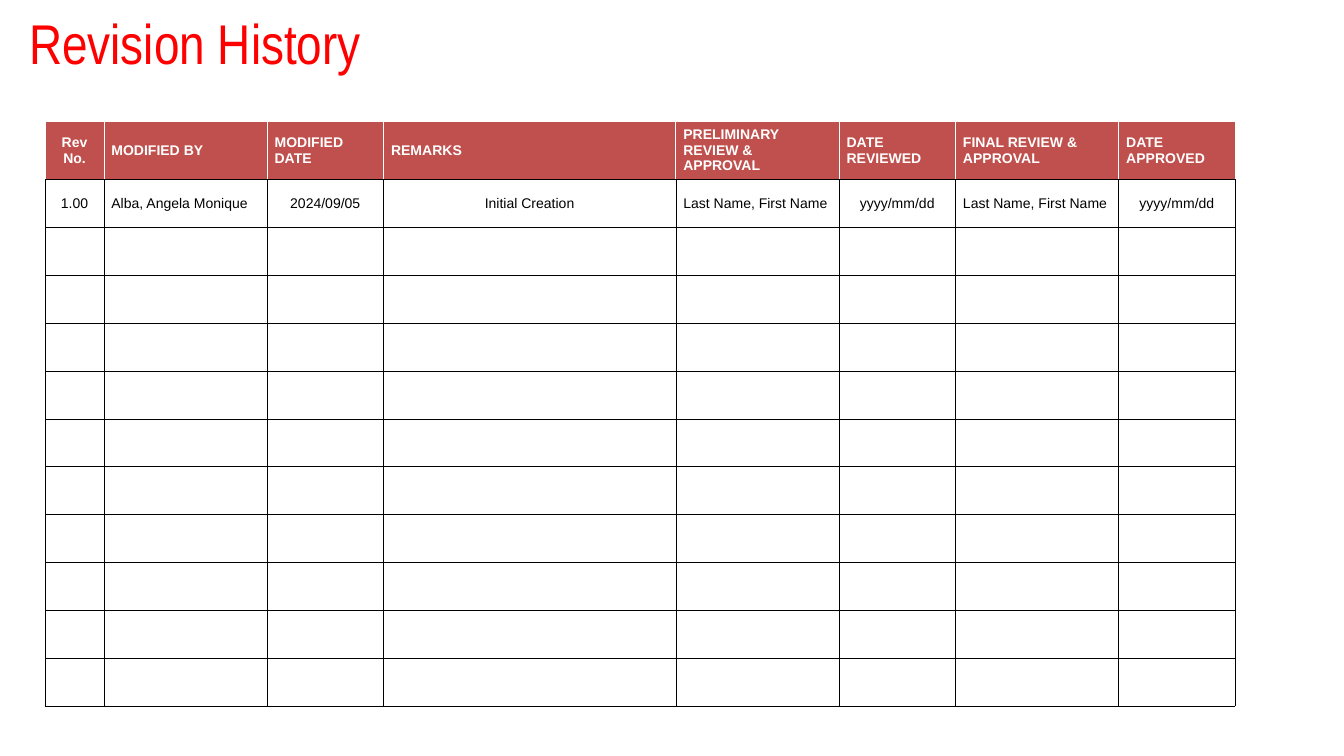
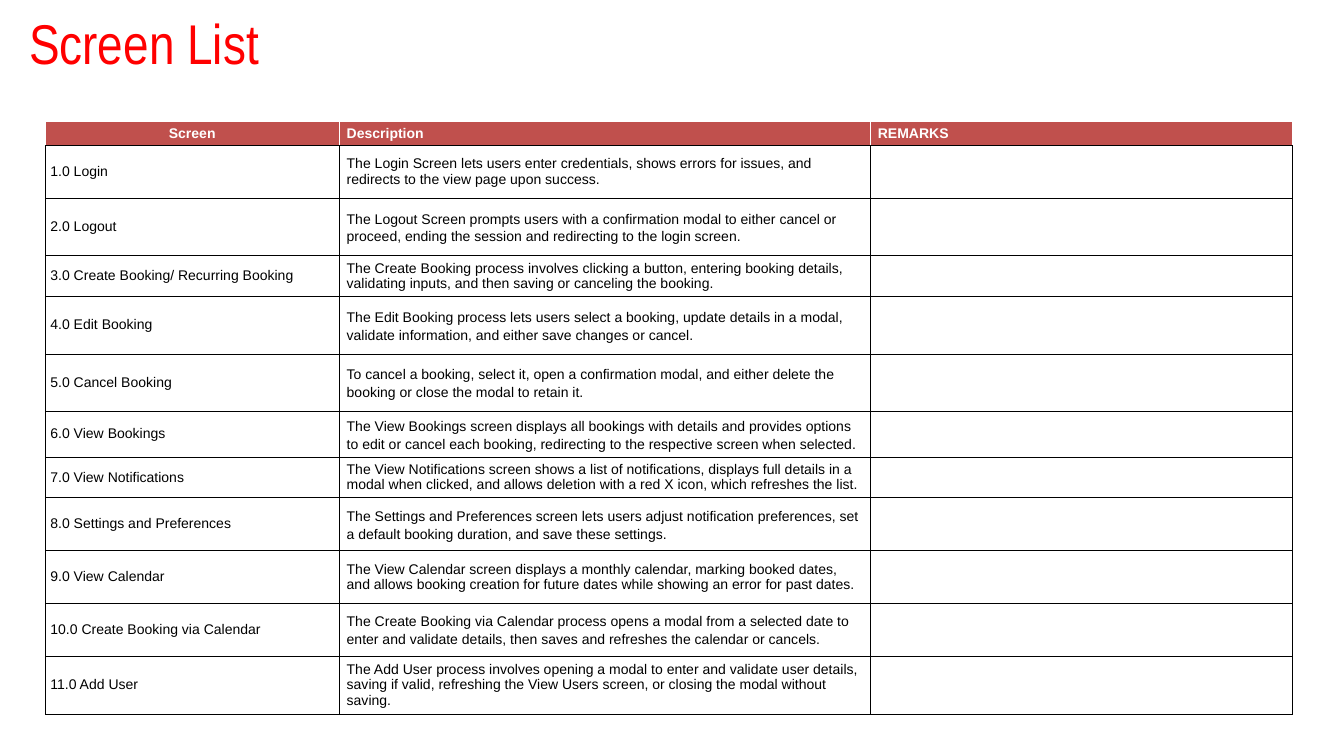
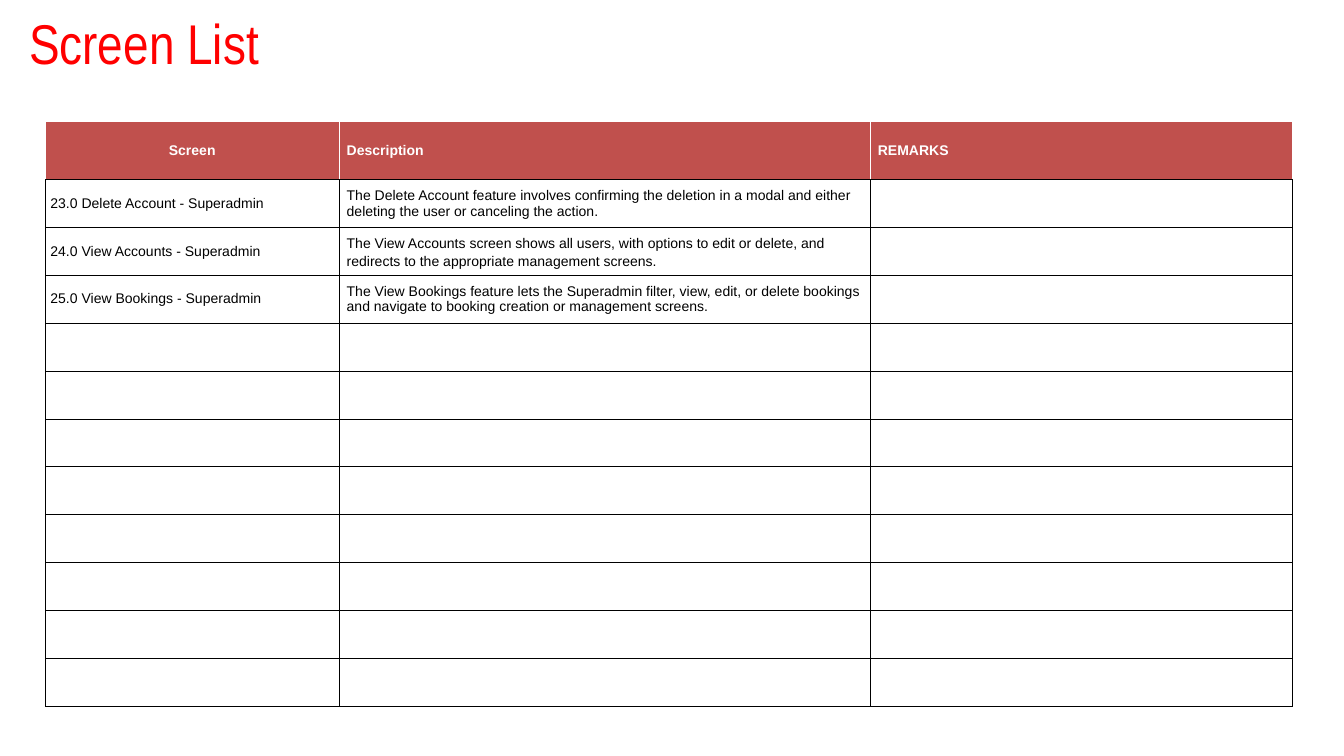
import dataclasses

import lxml.etree
import pptx
import pptx.dml.color
import pptx.enum.text
import pptx.oxml.ns
import pptx.util

PX = 9144  # EMU per px, 100 px to the inch


@dataclasses.dataclass(frozen=True)
class Theme:
    title_color: str = "FF0000"
    header_fill: str = "C0504D"
    header_text: str = "FFFFFF"
    header_rule: str = "FFFFFF"
    body_fill: str = "FFFFFF"
    body_text: str = "000000"
    body_rule: str = "000000"
    title_font: str = "Arial Narrow"
    table_font: str = "Arial"
    title_size: int = 80
    table_size: int = 20
    header_rule_width: float = 1
    body_rule_width: float = 0.75


THEME = Theme()
SLIDE_SIZE = (2667, 1500)
TITLE_BOX = (58, 22, 2425, 140)
TABLE_ORIGIN = (90, 241)
WIDE_INSET = (15, 7)
TIGHT_INSET = (10, 5)
EVEN_ROWS = [115] + [95] * 11
AIRY = dict(line_spacing=1.15, space_after=12)

REVISION_HEADERS = [
    "Rev No.", "MODIFIED BY", "MODIFIED DATE", "REMARKS",
    "PRELIMINARY REVIEW & APPROVAL", "DATE REVIEWED",
    "FINAL REVIEW & APPROVAL", "DATE APPROVED",
]
REVISIONS = [
    ("1.00", "Alba, Angela Monique", "2024/09/05", "Initial Creation",
     "Last Name, First Name", "yyyy/mm/dd", "Last Name, First Name", "yyyy/mm/dd"),
]

SCREEN_HEADERS = ["Screen", "Description", "REMARKS"]
USER_SCREENS = [
    ("1.0 Login",
     "The Login Screen lets users enter credentials, shows errors for issues, "
     "and redirects to the view page upon success."),
    ("2.0 Logout",
     "The Logout Screen prompts users with a confirmation modal to either cancel or "
     "proceed, ending the session and redirecting to the login screen."),
    ("3.0 Create Booking/ Recurring Booking",
     "The Create Booking process involves clicking a button, entering booking details, "
     "validating inputs, and then saving or canceling the booking."),
    ("4.0 Edit Booking",
     "The Edit Booking process lets users select a booking, update details in a modal, "
     "validate information, and either save changes or cancel."),
    ("5.0 Cancel Booking",
     "To cancel a booking, select it, open a confirmation modal, and either delete the "
     "booking or close the modal to retain it."),
    ("6.0 View Bookings",
     "The View Bookings screen displays all bookings with details and provides options "
     "to edit or cancel each booking, redirecting to the respective screen when selected."),
    ("7.0 View Notifications",
     "The View Notifications screen shows a list of notifications, displays full details "
     "in a modal when clicked, and allows deletion with a red X icon, which refreshes the list."),
    ("8.0 Settings and Preferences",
     "The Settings and Preferences screen lets users adjust notification preferences, set "
     "a default booking duration, and save these settings."),
    ("9.0 View Calendar",
     "The View Calendar screen displays a monthly calendar, marking booked dates, "
     "and allows booking creation for future dates while showing an error for past dates."),
    ("10.0 Create Booking via Calendar",
     "The Create Booking via Calendar process opens a modal from a selected date to "
     "enter and validate details, then saves and refreshes the calendar or cancels."),
    ("11.0 Add User",
     "The Add User process involves opening a modal to enter and validate user details, "
     "saving if valid, refreshing the View Users screen, or closing the modal without saving."),
]
SUPERADMIN_SCREENS = [
    ("23.0 Delete Account - Superadmin",
     "The Delete Account feature involves confirming the deletion in a modal and either "
     "deleting the user or canceling the action."),
    ("24.0 View Accounts - Superadmin",
     "The View Accounts screen shows all users, with options to edit or delete, and "
     "redirects to the appropriate management screens."),
    ("25.0 View Bookings - Superadmin",
     "The View Bookings feature lets the Superadmin filter, view, edit, or delete bookings "
     "and navigate to booking creation or management screens."),
]

# airy_rows: rows whose description has looser line spacing
REVISION_LAYOUT = dict(headers=REVISION_HEADERS, centered={0, 2, 3, 5, 7}, tight=set(),
                       columns=[116, 324, 231, 580, 324, 231, 324, 231])
SCREEN_LAYOUT = dict(headers=SCREEN_HEADERS, centered=set(), tight={0},
                     columns=[583, 1054, 838])
PAGES = [
    dict(REVISION_LAYOUT, title="Revision History", records=REVISIONS,
         rows=EVEN_ROWS, airy_rows=set()),
    dict(SCREEN_LAYOUT, title="Screen List", records=USER_SCREENS,
         rows=[44, 105, 114, 74, 114, 114, 79, 74, 105, 105, 105, 105],
         airy_rows={2, 4, 5, 6, 8, 10}),
    dict(SCREEN_LAYOUT, title="Screen List", records=SUPERADMIN_SCREENS,
         rows=EVEN_ROWS, airy_rows={2}),
]


def rgb(color):
    return pptx.dml.color.RGBColor.from_string(color)


def write(frame, text, *, font, size, color, bold=False, centered=False,
          line_spacing=None, space_after=None):
    paragraph = frame.paragraphs[0]
    align = pptx.enum.text.PP_ALIGN
    paragraph.alignment = align.CENTER if centered else align.LEFT
    if line_spacing:
        paragraph.line_spacing = line_spacing
    if space_after:
        paragraph.space_after = pptx.util.Pt(space_after)
    run = paragraph.add_run()
    run.text = text
    run.font.name = font
    run.font.size = pptx.util.Pt(size)
    run.font.bold = bold
    run.font.color.rgb = rgb(color)


def set_border(cell, side, color, width):
    """Draw one edge of a cell; side is L, R, T or B."""
    qn = pptx.oxml.ns.qn
    line = lxml.etree.SubElement(cell._tc.get_or_add_tcPr(), qn(f"a:ln{side}"),
                                 w=str(pptx.util.Pt(width)))
    fill = lxml.etree.SubElement(line, qn("a:solidFill"))
    lxml.etree.SubElement(fill, qn("a:srgbClr"), val=color)


def style_cell(cell, is_header, inset):
    for side in "LRTB":
        if is_header and side != "B":
            set_border(cell, side, THEME.header_rule, THEME.header_rule_width)
        else:
            set_border(cell, side, THEME.body_rule, THEME.body_rule_width)
    cell.fill.solid()
    cell.fill.fore_color.rgb = rgb(THEME.header_fill if is_header else THEME.body_fill)
    cell.vertical_anchor = pptx.enum.text.MSO_ANCHOR.MIDDLE
    cell.margin_left = cell.margin_right = inset[0] * PX
    cell.margin_top = cell.margin_bottom = inset[1] * PX


def add_title(slide, title):
    frame = slide.shapes.add_textbox(*(length * PX for length in TITLE_BOX)).text_frame
    frame.word_wrap = True
    frame.vertical_anchor = pptx.enum.text.MSO_ANCHOR.MIDDLE
    frame.margin_left = frame.margin_right = frame.margin_top = frame.margin_bottom = 0
    write(frame, title, font=THEME.title_font, size=THEME.title_size,
          color=THEME.title_color, line_spacing=0.9)


def add_register(slide, page):
    """Add the page's table: a header row, its records, then empty rows to fill in."""
    columns, rows = page["columns"], page["rows"]
    extent = (*TABLE_ORIGIN, sum(columns), sum(rows))
    table = slide.shapes.add_table(len(rows), len(columns),
                                   *(length * PX for length in extent)).table
    table.horz_banding = False
    for column, width in zip(table.columns, columns):
        column.width = width * PX
    for row, height in zip(table.rows, rows):
        row.height = height * PX

    lines = [page["headers"], *page["records"]]
    for r in range(len(rows)):
        is_header = r == 0
        texts = lines[r] if r < len(lines) else ()
        for c in range(len(columns)):
            cell = table.cell(r, c)
            tight = not is_header and c in page["tight"]
            style_cell(cell, is_header, TIGHT_INSET if tight else WIDE_INSET)
            if c < len(texts):
                spacing = AIRY if c == 1 and r in page["airy_rows"] else {}
                write(cell.text_frame, texts[c], font=THEME.table_font,
                      size=THEME.table_size, bold=is_header,
                      color=THEME.header_text if is_header else THEME.body_text,
                      centered=c == 0 if is_header else c in page["centered"],
                      **spacing)


def main():
    deck = pptx.Presentation()
    deck.slide_width, deck.slide_height = (length * PX for length in SLIDE_SIZE)
    for page in PAGES:
        slide = deck.slides.add_slide(deck.slide_layouts[6])
        add_title(slide, page["title"])
        add_register(slide, page)
    deck.save("out.pptx")


if __name__ == "__main__":
    main()
